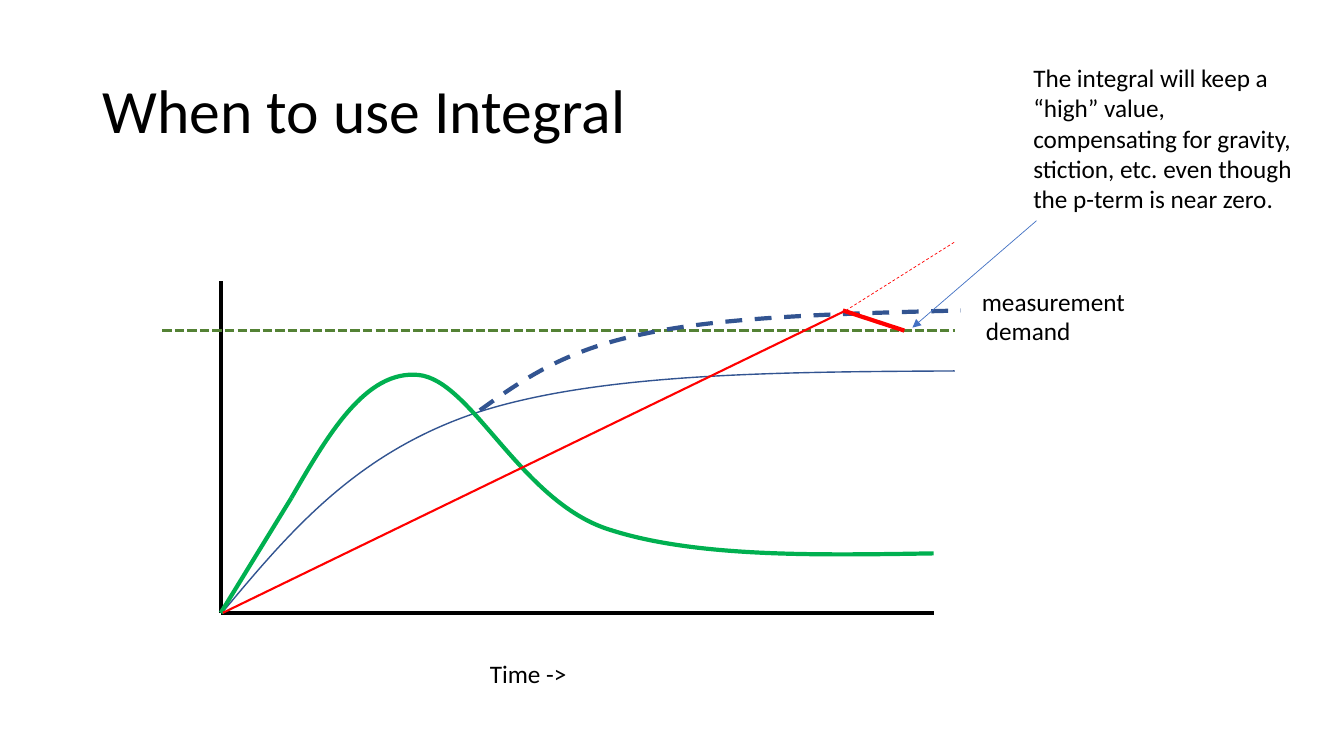
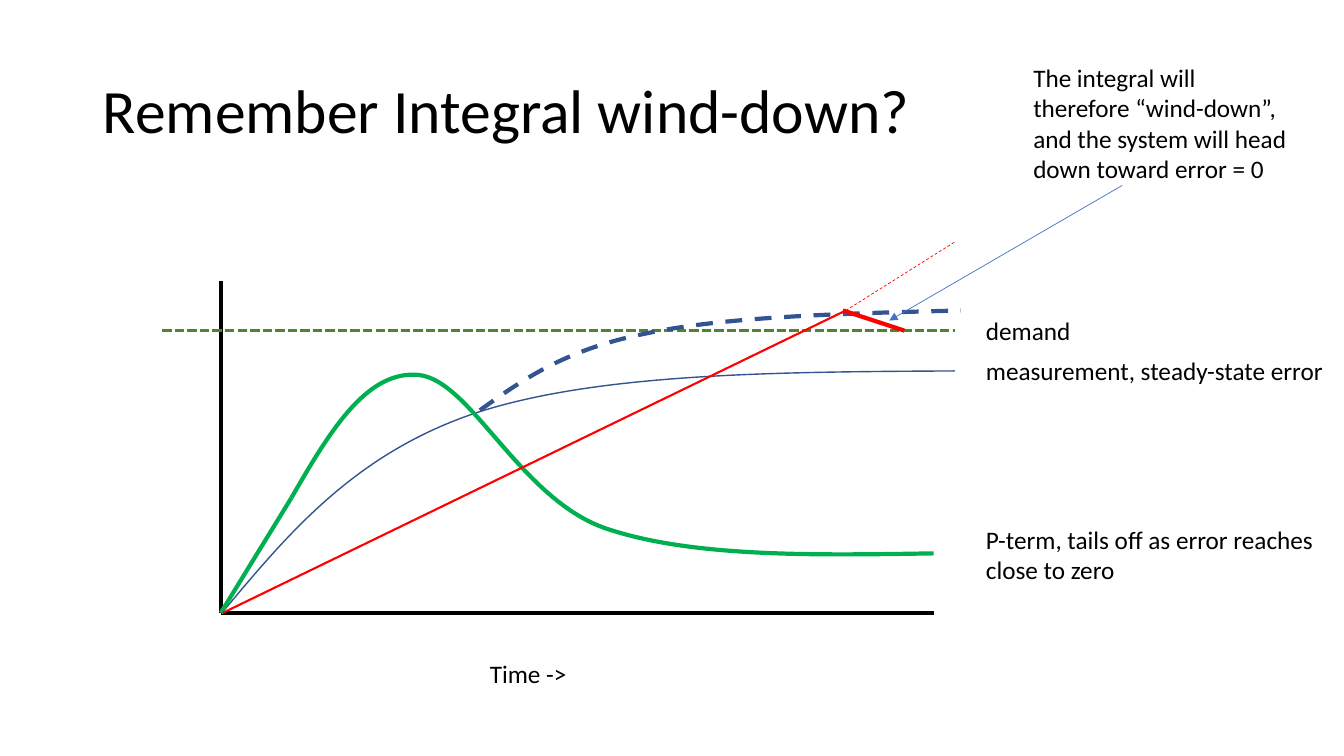
from lxml import etree
from pptx import Presentation
from pptx.dml.color import RGBColor
from pptx.enum.dml import MSO_LINE
from pptx.enum.shapes import MSO_CONNECTOR
from pptx.enum.text import MSO_ANCHOR, MSO_AUTO_SIZE, PP_ALIGN
from pptx.oxml.ns import qn
from pptx.util import Inches, Pt

BLACK = RGBColor(0x00, 0x00, 0x00)
BLUE = RGBColor(0x32, 0x54, 0x91)
ARROW_BLUE = RGBColor(0x44, 0x72, 0xC4)
GREEN = RGBColor(0x00, 0xB0, 0x50)
DEMAND_GREEN = RGBColor(0x54, 0x82, 0x35)
RED = RGBColor(0xFF, 0x00, 0x00)
FONT = "Calibri"

# Boxes: left, top, width, height in inches
TITLE_BOX = (0.92, 0.4, 11.5, 1.45)
PLOT_BOX = (2.19, 2.79, 7.07, 3.29)
CALLOUT_LEFT, CALLOUT_TOP, CALLOUT_WIDTH = 10.15, 0.57, 2.8

# Curves as a start point and cubic segments, in inches from the plot's top left
MEASUREMENT = ((0.02, 3.28), [
    ((0.68, 2.49), (1.34, 1.7), (2.55, 1.3)),
    ((3.76, 0.91), (5.52, 0.9), (7.28, 0.89))])
P_TERM = ((0.7, 2.15), [
    ((1.07, 1.51), (1.44, 0.88), (1.96, 0.93)),
    ((2.48, 0.98), (2.96, 2.15), (3.81, 2.45)),
    ((4.66, 2.74), (5.87, 2.72), (7.07, 2.7))])
WITH_INTEGRAL = ((2.57, 1.28), [
    ((2.99, 0.98), (3.41, 0.68), (4.21, 0.52)),
    ((5.0, 0.35), (6.17, 0.32), (7.34, 0.29))])

# Labels: text, left, top, width, height from the plot's top left
COMMON_LABELS = [("Time ->", 2.57, 3.69, 0.97, 0.4),
                 ("demand", 7.49, 0.29, 1.05, 0.4)]

SLIDES = [
    {"title": "When to use Integral",
     "labels": [("measurement", 7.45, 0, 1.64, 0.4)],
     "callout": "The integral will keep a “high” value, compensating for gravity, "
                "stiction, etc. even though the p-term is near zero.",
     "callout_height": 1.62,
     "arrow": ((0.13, 1.62), (-1.1, 2.68))},
    {"title": "Remember Integral wind-down?",
     "labels": [("measurement, steady-state error", 7.49, 0.69, 3.58, 0.4),
                ("P-term, tails off as error reaches\nclose to zero",
                 7.49, 2.36, 3.49, 0.71)],
     "callout": "The integral will therefore “wind-down”, and the system "
                "will head down toward error = 0",
     "callout_height": 1.31,
     "arrow": ((0.98, 1.27), (-1.33, 2.61))},
]


def format_text(frame, size):
    for paragraph in frame.paragraphs:
        paragraph.alignment = PP_ALIGN.LEFT
        for run in paragraph.runs:
            run.font.name = FONT
            run.font.size = Pt(size)
            run.font.color.rgb = BLACK


def format_line(line, color, width, dash=None):
    line.color.rgb = color
    line.width = Pt(width)
    if dash is not None:
        line.dash_style = dash


def add_text(slide, text, left, top, width, height, wrap=False):
    label = slide.shapes.add_textbox(*map(Inches, (left, top, width, height)))
    frame = label.text_frame
    frame.text = text
    frame.word_wrap = wrap
    frame.auto_size = MSO_AUTO_SIZE.SHAPE_TO_FIT_TEXT
    format_text(frame, 18)


def place(origin, point):
    return tuple(Inches(base + offset) for base, offset in zip(origin, point))


def add_line(slide, origin, start, end, color, width, dash=None, arrow=False):
    connector = slide.shapes.add_connector(
        MSO_CONNECTOR.STRAIGHT, *place(origin, start), *place(origin, end))
    format_line(connector.line, color, width, dash)
    if arrow:
        outline = connector.line._get_or_add_ln()
        etree.SubElement(outline, qn("a:tailEnd"), type="triangle")
    etree.SubElement(connector._element.spPr, qn("a:effectLst"))


def add_curve(slide, origin, curve, color, width, dash=None):
    start, segments = curve
    builder = slide.shapes.build_freeform(*place(origin, start))
    builder.add_line_segments(
        [place(origin, segment[-1]) for segment in segments], close=False)
    outline = builder.convert_to_shape()
    # Bend each straight segment into a cubic one
    straights = list(outline._element.iter(qn("a:lnTo")))
    for straight, segment in zip(straights, segments):
        cubic = etree.Element(qn("a:cubicBezTo"))
        for point in segment:
            x, y = place(origin, point)
            etree.SubElement(cubic, qn("a:pt"),
                             x=str(x - outline.left), y=str(y - outline.top))
        straight.getparent().replace(straight, cubic)
    outline.fill.background()
    outline.shadow.inherit = False
    format_line(outline.line, color, width, dash)


def add_title(slide, text, box):
    title = slide.shapes.title
    title.left, title.top, title.width, title.height = map(Inches, box)
    frame = title.text_frame
    frame.text = text
    frame.vertical_anchor = MSO_ANCHOR.MIDDLE
    frame.paragraphs[0].line_spacing = 0.9
    format_text(frame, 44)


def add_plot(slide, box, labels):
    left, top, width, height = box
    origin = (left, top)
    corner = (0, height)
    peak = (6.2, 0.29)
    # Axes and demand level
    add_line(slide, origin, (0, 0), corner, BLACK, 3)
    add_line(slide, origin, corner, (width, height), BLACK, 3)
    add_line(slide, origin, (-0.58, 0.49), (7.28, 0.49),
             DEMAND_GREEN, 2.25, MSO_LINE.SQUARE_DOT)
    # Measurement and P-term
    add_curve(slide, origin, MEASUREMENT, BLUE, 1)
    add_curve(slide, origin, P_TERM, GREEN, 3)
    add_line(slide, origin, corner, P_TERM[0], GREEN, 3)
    # Integral and its effect on the measurement
    add_line(slide, origin, (0.02, height), peak, RED, 1.5)
    add_curve(slide, origin, WITH_INTEGRAL, BLUE, 3, MSO_LINE.DASH)
    add_line(slide, origin, (6.17, 0.29), (6.78, 0.49), RED, 3)
    add_line(slide, origin, peak, (7.28, -0.39), RED, 0.5, MSO_LINE.DASH)
    # Labels
    for text, x, y, label_width, label_height in labels:
        add_text(slide, text, left + x, top + y, label_width, label_height)


def add_callout(slide, box, text, arrow):
    add_line(slide, box[:2], *arrow, ARROW_BLUE, 0.5, arrow=True)
    add_text(slide, text, *box, wrap=True)


def main():
    deck = Presentation()
    deck.slide_width, deck.slide_height = Inches(13.33), Inches(7.5)
    title_only = deck.slide_layouts[5]
    for content in SLIDES:
        slide = deck.slides.add_slide(title_only)
        add_title(slide, content["title"], TITLE_BOX)
        add_plot(slide, PLOT_BOX, COMMON_LABELS + content["labels"])
        callout_box = (CALLOUT_LEFT, CALLOUT_TOP, CALLOUT_WIDTH,
                       content["callout_height"])
        add_callout(slide, callout_box, content["callout"], content["arrow"])
    deck.save("out.pptx")


if __name__ == "__main__":
    main()
